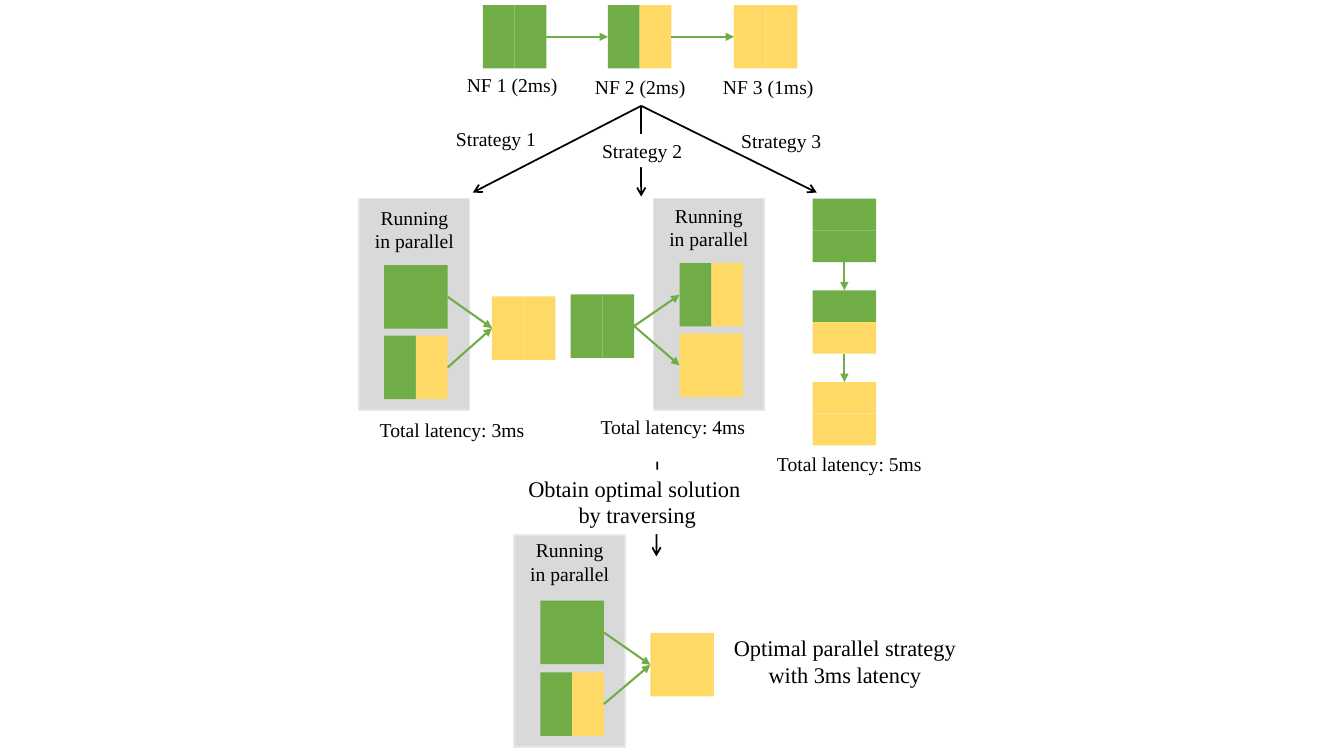
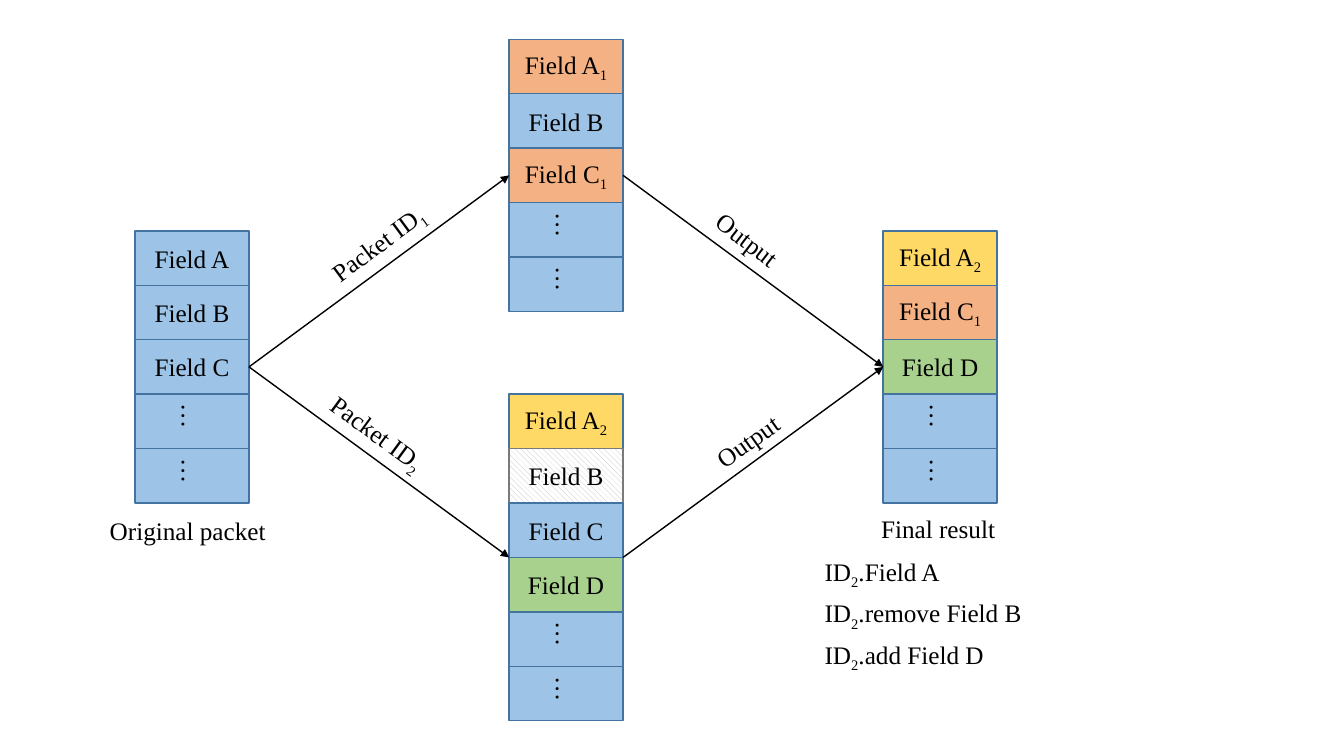
"""Build two slides on parallel network functions and merging of packet fields."""
from lxml.etree import SubElement
from pptx import Presentation
from pptx.dml.color import RGBColor
from pptx.enum.dml import MSO_PATTERN
from pptx.enum.shapes import MSO_CONNECTOR, MSO_SHAPE
from pptx.enum.text import MSO_ANCHOR, PP_ALIGN
from pptx.oxml.ns import qn
from pptx.util import Inches, Pt

GREEN, YELLOW, BLACK, WHITE = "70AD47", "FFD966", "000000", "FFFFFF"
PANEL, PANEL_EDGE = "D9D9D9", "E7E6E6"
BLUE, ORANGE, LIME, EDGE = "9DC3E6", "F4B183", "A9D18E", "43739E"
HATCH, HATCH_EDGE = "BFBFBF", "7A7A7A"
CENTER, LEFT = PP_ALIGN.CENTER, PP_ALIGN.LEFT

HALF, SIDE = 0.315, 0.63
PANEL_W, PANEL_H = 1.1, 2.1
CELL_W, CELL_H = 1.13, 0.54
NF1, NF2, NF3 = (GREEN, GREEN), (GREEN, YELLOW), (YELLOW, YELLOW)

PANELS = [(3.56, 1.97, 1.99), (6.48, 1.97, 1.97), (5.1, 5.31, 5.29)]
NFS = [
    (4.79, 0.05, NF1), (6.03, 0.05, NF2), (7.28, 0.05, NF3),
    (3.81, 2.63, NF1), (3.81, 3.33, NF2), (4.88, 2.94, NF3),
    (5.66, 2.92, NF1), (6.74, 2.61, NF2), (6.74, 3.31, NF3),
    (5.36, 5.96, NF1), (5.36, 6.67, NF2), (6.45, 6.28, NF3),
]
NF_LINKS = [(0, 1), (1, 2), (3, 5), (4, 5), (6, 7), (6, 8), (9, 11), (10, 11)]
STACK_X, STACK_Y, STACK_STEP = 8.06, 1.97, 0.91
STRATEGY_ARROWS = [
    (6.36, 1.05, 4.69, 1.91), (6.36, 1.05, 6.36, 1.95),
    (6.36, 1.05, 8.1, 1.91), (6.52, 4.58, 6.51, 5.52),
]
LABELS = [
    (4.51, 0.67, 1.14, "NF 1 (2ms)"), (5.78, 0.69, 1.14, "NF 2 (2ms)"),
    (7.05, 0.69, 1.14, "NF 3 (1ms)"), (3.65, 4.1, 1.67, "Total latency: 3ms"),
    (5.84, 4.07, 1.67, "Total latency: 4ms"), (7.59, 4.43, 1.67, "Total latency: 5ms"),
]
STRATEGIES = [(4.42, 1.21, "Strategy 1", None), (5.87, 1.33, "Strategy 2", WHITE),
              (7.25, 1.23, "Strategy 3", None)]
NOTES = [(4.97, 4.66, 2.7, "Obtain optimal solution \nby traversing", WHITE),
         (6.99, 6.24, 2.78, "Optimal parallel strategy\nwith 3ms latency", None)]

MORE = [("…", BLUE)] * 2
PACKETS = [
    (1.34, 2.29, [("Field A", BLUE), ("Field B", BLUE), ("Field C", BLUE)] + MORE),
    (5.05, 0.39, [("Field A_1", ORANGE), ("Field B", BLUE), ("Field C_1", ORANGE)] + MORE),
    (5.05, 3.91, [("Field A_2", YELLOW), ("Field B", HATCH), ("Field C", BLUE),
                  ("Field D", LIME)] + MORE),
    (8.76, 2.29, [("Field A_2", YELLOW), ("Field C_1", ORANGE), ("Field D", LIME)] + MORE),
]
PACKET_LINKS = [(0, 1), (0, 2), (1, 3), (2, 3)]
CAPTIONS = [
    (3.11, 2.2, 1.31, 323.6, "Packet ID_1"), (3.11, 4.11, 1.31, 36.2, "Packet ID_2"),
    (6.96, 2.2, 0.97, 37.8, "Output"), (6.96, 4.15, 0.97, 324.8, "Output"),
    (0.99, 5.06, 1.83, 0, "Original packet"), (8.64, 5.04, 1.37, 0, "Final result"),
    (8.08, 5.47, 1.39, 0, "ID_2.Field A"), (8.08, 5.88, 2.22, 0, "ID_2.remove Field B"),
    (8.08, 6.29, 2.22, 0, "ID_2.add Field D"),
]


def rgb(color):
    return RGBColor.from_string(color)


def add_run(p, text, size, sub=False):
    r = p.add_run()
    r.text = text
    for key, value in {"name": "Times New Roman", "size": Pt(size)}.items():
        setattr(r.font, key, value)
    r.font.color.rgb = rgb(BLACK)
    if sub:
        r.font._element.set("baseline", "-25000")


def write(sp, text, size, align=CENTER, anchor=MSO_ANCHOR.TOP, spacing=None):
    tf = sp.text_frame
    for key, value in {"word_wrap": True, "vertical_anchor": anchor}.items():
        setattr(tf, key, value)
    for i, line in enumerate(text.split("\n")):
        p = tf.add_paragraph() if i else tf.paragraphs[0]
        p.alignment, p.line_spacing = align, spacing
        first, *marked = line.split("_")
        add_run(p, first, size)
        for part in marked:
            add_run(p, part[0], size, sub=True)
            if part[1:]:
                add_run(p, part[1:], size)


def label(s, x, y, w, h, text, size, align=CENTER, fill=None, spacing=None):
    sp = s.shapes.add_textbox(*map(Inches, (x, y, w, h)))
    if fill:
        sp.fill.solid()
        sp.fill.fore_color.rgb = rgb(fill)
    write(sp, text, size, align, spacing=spacing)
    return sp


def rect(s, x, y, w, h, fill, edge=None):
    sp = s.shapes.add_shape(MSO_SHAPE.RECTANGLE, *map(Inches, (x, y, w, h)))
    sp.shadow.inherit = False
    if fill == HATCH:
        sp.fill.patterned()
        sp.fill.pattern = MSO_PATTERN.WIDE_DOWNWARD_DIAGONAL
        sp.fill.back_color.rgb = rgb(WHITE)
    else:
        sp.fill.solid()
    sp.fill.fore_color.rgb = rgb(fill)
    if edge:
        sp.line.color.rgb, sp.line.width = rgb(edge), Pt(1)
    else:
        sp.line.fill.background()
    return sp


def arrow(s, x1, y1, x2, y2, color, width, end="triangle"):
    c = s.shapes.add_connector(MSO_CONNECTOR.STRAIGHT, *map(Inches, (x1, y1, x2, y2)))
    c.line.color.rgb, c.line.width = rgb(color), Pt(width)
    props = c._element.spPr
    SubElement(props.find(qn("a:ln")), qn("a:tailEnd"), type=end)
    SubElement(props, qn("a:effectLst"))


def build_strategies(s):
    for x, y, text_y in PANELS:
        rect(s, x, y, PANEL_W, PANEL_H, PANEL, PANEL_EDGE)
        label(s, x + 0.04, text_y, 1.02, 0.57, "Running in parallel", 14)
    for x, y, colors in NFS:
        for i, color in enumerate(colors):
            rect(s, x + i * HALF, y, HALF, SIDE, color)
    for start, end in NF_LINKS:
        (x1, y1, _), (x2, y2, _) = NFS[start], NFS[end]
        arrow(s, x1 + SIDE, y1 + HALF, x2, y2 + HALF, GREEN, 1.5)
    for row, colors in enumerate((NF1, NF2, NF3)):
        y = STACK_Y + row * STACK_STEP
        for i, color in enumerate(colors):
            rect(s, STACK_X, y + i * HALF, SIDE, HALF, color)
        if row:
            arrow(s, STACK_X + HALF, y + SIDE - STACK_STEP, STACK_X + HALF, y, GREEN, 1.5)
    for points in STRATEGY_ARROWS:
        arrow(s, *points, BLACK, 1.25, "arrow")
    for x, y, w, text in LABELS:
        label(s, x, y, w, 0.34, text, 14)
    for x, y, text, fill in STRATEGIES:
        label(s, x, y, 1, 0.33, text, 14, fill=fill, spacing=Pt(16.8))
    for x, y, w, text, fill in NOTES:
        label(s, x, y, w, 0.64, text, 16, fill=fill)


def build_packets(s):
    for x, y, fields in PACKETS:
        for i, (text, color) in enumerate(fields):
            edge = HATCH_EDGE if color == HATCH else EDGE
            sp = rect(s, x, y + i * CELL_H, CELL_W, CELL_H, color, edge)
            write(sp, text, 18, anchor=MSO_ANCHOR.MIDDLE)
            if text == "…":
                sp.text_frame._txBody.bodyPr.set("vert", "eaVert")
    for start, end in PACKET_LINKS:
        (x1, y1, a), (x2, y2, b) = PACKETS[start], PACKETS[end]
        arrow(s, x1 + CELL_W, y1 + len(a) * CELL_H / 2, x2, y2 + len(b) * CELL_H / 2, BLACK, 1)
    for x, y, w, angle, text in CAPTIONS:
        label(s, x, y, w, 0.4, text, 18, LEFT).rotation = angle


prs = Presentation()
prs.slide_width, prs.slide_height = Inches(13.33), Inches(7.5)
for build in (build_strategies, build_packets):
    build(prs.slides.add_slide(prs.slide_layouts[6]))
prs.save("out.pptx")
